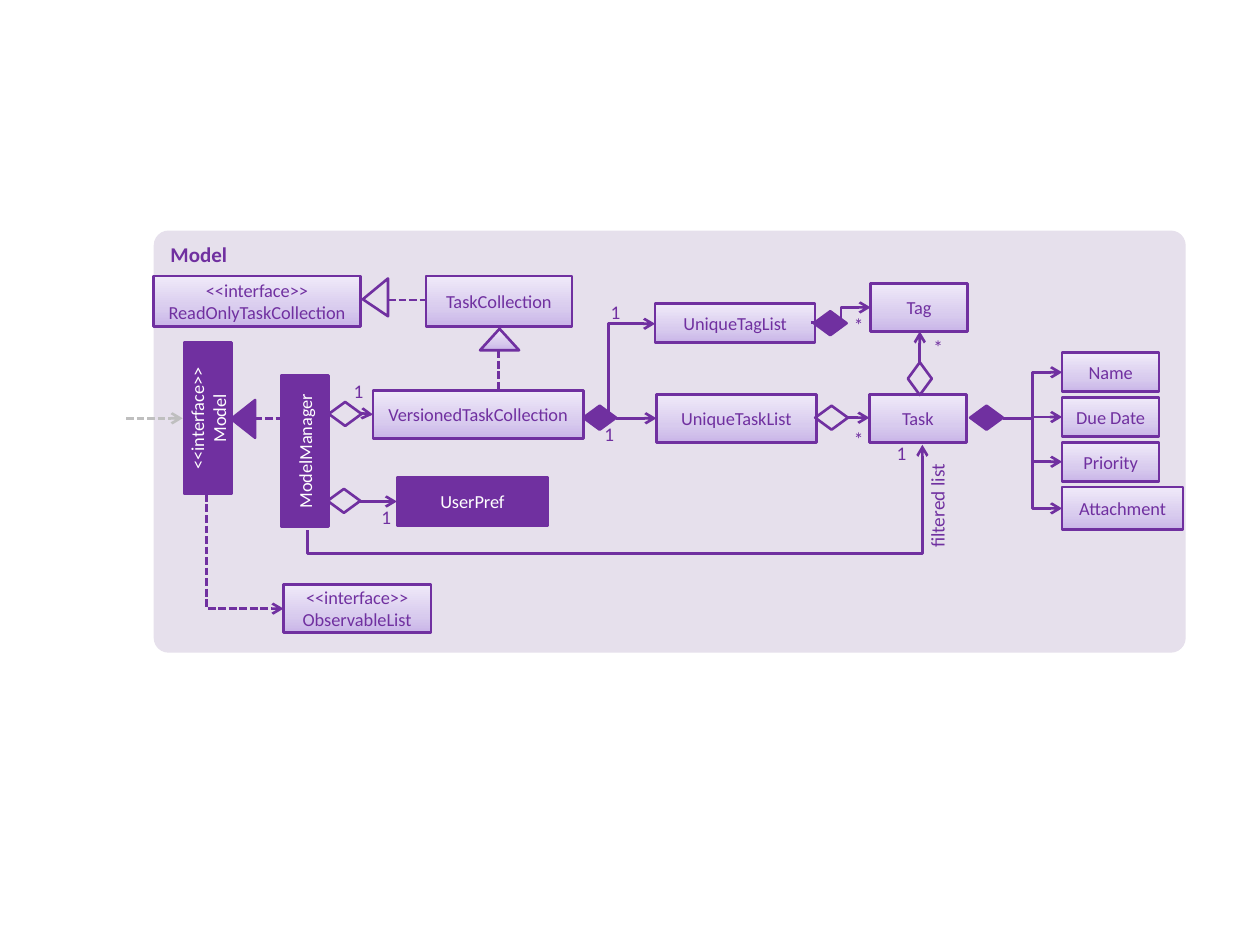
from copy import deepcopy
from dataclasses import dataclass
from typing import Any

from pptx import Presentation
from pptx.dml.color import RGBColor
from pptx.enum.dml import MSO_LINE
from pptx.enum.shapes import MSO_CONNECTOR, MSO_SHAPE
from pptx.enum.text import MSO_ANCHOR, PP_ALIGN
from pptx.oxml.ns import qn
from pptx.oxml.xmlchemy import OxmlElement
from pptx.util import Inches, Pt

RECT, ROUNDED = MSO_SHAPE.RECTANGLE, MSO_SHAPE.ROUNDED_RECTANGLE
DIAMOND, TRIANGLE = MSO_SHAPE.FLOWCHART_DECISION, MSO_SHAPE.ISOSCELES_TRIANGLE
STRAIGHT, ELBOW = MSO_CONNECTOR.STRAIGHT, MSO_CONNECTOR.ELBOW
DOTTED = MSO_LINE.SQUARE_DOT
MIDDLE, TOP = MSO_ANCHOR.MIDDLE, MSO_ANCHOR.TOP
LEFT, CENTER, RIGHT = PP_ALIGN.LEFT, PP_ALIGN.CENTER, PP_ALIGN.RIGHT
WIDTH, HEIGHT = Inches(10), Inches(7.5)
COLUMN, ROW = WIDTH / 100, HEIGHT / 75
PURPLE, PANEL, GREY, WHITE = "7030A0", "E6E0EC", "BFBFBF", "FFFFFF"
SHADES = ((0, "C9B5E8"), (0.35, "D8CBEE"), (1, "F0EAF9"))
DIAMOND_SIZE = (2.6, 1.9)


def color(value):
    """Turn a hex string into a colour."""
    return RGBColor.from_string(value)


def shade(shape):
    """Fill a shape with the pale purple gradient."""
    fill = shape.fill
    fill.gradient()
    fill.gradient_angle = 90
    stops = shape._element.spPr.find(".//" + qn("a:gsLst"))
    stops.insert(1, deepcopy(stops[0]))
    for stop, (position, value) in zip(fill.gradient_stops, SHADES):
        stop.position = position
        stop.color.rgb = color(value)


def write(frame, paragraphs, ink, size, align=CENTER, bold=False):
    """Write paragraphs run by run, with line breaks at newlines."""
    frame.word_wrap = True
    for index, text in enumerate(paragraphs):
        para = frame.add_paragraph() if index else frame.paragraphs[0]
        para.alignment = align
        for number, line in enumerate(text.split("\n")):
            if number:
                para.add_line_break()
            span = para.add_run()
            span.text = line
            span.font.name, span.font.size, span.font.bold = "Calibri", Pt(size), bold
            span.font.color.rgb = color(ink)


@dataclass
class Region:
    """A part of the page with its own origin in grid cells."""

    page: Any
    left: float
    top: float

    def spot(self, x, y):
        """Convert region cells to slide lengths."""
        return int((self.left + x) * COLUMN), int((self.top + y) * ROW)

    def shape(self, kind, x, y, width, height, fill=None, turn=0, line=PURPLE):
        """Place a preset shape; the fill is None, a colour or 'shade'."""
        shape = self.page.shapes.add_shape(
            kind, *self.spot(x, y), int(width * COLUMN), int(height * ROW))
        shape.shadow.inherit = False
        shape.rotation = turn
        if fill == "shade":
            shade(shape)
        elif fill:
            shape.fill.solid()
            shape.fill.fore_color.rgb = color(fill)
        else:
            shape.fill.background()
        if line:
            shape.line.color.rgb = color(line)
            shape.line.width = Pt(1.5)
        else:
            shape.line.fill.background()
        return shape

    def box(self, x, y, width, height, *paragraphs, fill="shade", turn=0):
        """Place a class box with centred text."""
        shape = self.shape(RECT, x, y, width, height, fill, turn)
        shape.text_frame.vertical_anchor = MIDDLE
        write(shape.text_frame, paragraphs, WHITE if fill == PURPLE else PURPLE, 10.5)

    def diamond(self, x, y, fill=None, turn=0):
        """Place an aggregation or composition diamond."""
        self.shape(DIAMOND, x, y, *DIAMOND_SIZE, fill, turn)

    def label(self, text, x, y, width=2.1, height=2, turn=0, align=CENTER, inset=0):
        """Place a small text such as a multiplicity."""
        box = self.page.shapes.add_textbox(
            *self.spot(x, y), int(width * COLUMN), int(height * ROW))
        box.rotation = turn
        frame = box.text_frame
        frame.margin_left = frame.margin_right = Inches(2 * inset)
        frame.margin_top = frame.margin_bottom = Inches(inset)
        write(frame, [text], PURPLE, 11, align)

    def link(self, start, end, kind=STRAIGHT, ink=PURPLE, dotted=False, arrow=True,
             upright=None, bend=None):
        """Draw a connector; upright names the preset of one that leaves vertically."""
        (x1, y1), (x2, y2) = start, end
        if upright:
            mid_x, mid_y, dx, dy = (x1 + x2) / 2, (y1 + y2) / 2, (x2 - x1) / 2, (y2 - y1) / 2
            start, end = (mid_x - dy, mid_y + dx), (mid_x + dy, mid_y - dx)
        connector = self.page.shapes.add_connector(kind, *self.spot(*start), *self.spot(*end))
        connector.line.color.rgb = color(ink)
        connector.line.width = Pt(1.5)
        if dotted:
            connector.line.dash_style = DOTTED
        properties = connector._element.spPr
        if arrow:
            tail = OxmlElement("a:tailEnd")
            tail.set("type", "arrow")
            properties.find(qn("a:ln")).append(tail)
        properties.append(OxmlElement("a:effectLst"))
        if upright:
            properties.find(qn("a:xfrm")).set("rot", "5400000")
            properties.find(qn("a:prstGeom")).set("prst", upright)
        if bend is not None:
            guide = OxmlElement("a:gd")
            guide.set("name", "adj1")
            guide.set("fmla", f"val {round(bend * 100000)}")
            properties.find(".//" + qn("a:avLst")).append(guide)


def draw_panel(region):
    """Draw the titled background of the component."""
    panel = region.shape(ROUNDED, 0, 0, 81.9, 33.5, PANEL, line=None)
    panel.adjustments[0] = 0.035
    panel.text_frame.vertical_anchor = TOP
    write(panel.text_frame, ["Model"], PURPLE, 12, LEFT, True)


def draw_manager(region):
    """Draw the model interface, its manager and what the manager holds."""
    region.box(21.5, 7.9, 12, 3.8, "UserPref", fill=PURPLE)
    region.box(8.2, 3.9, 12, 3.8, "ModelManager", fill=PURPLE, turn=270)
    region.link((14.4, 12.1), (63.2, 5.3), ELBOW, upright="bentConnector3", bend=-0.27)
    region.box(0.5, 1.3, 12, 3.8, "<<interface>>", "Model", fill=PURPLE, turn=270)
    region.shape(TRIANGLE, 7.8, 2.3, 3, 1.9, PURPLE, 270)
    region.link((0, 3.2), (4.5, 3.2), ink=GREY, dotted=True)
    region.link((10.2, 3.2), (12.6, 3.2), dotted=True, arrow=False)
    region.link((18.5, 9.8), (21.5, 9.8))
    region.diamond(16, 8.8)
    region.box(19.6, 1, 16.7, 3.8, "VersionedTaskCollection")
    region.link((18.7, 2.8), (19.6, 2.9))
    region.diamond(16.1, 1.9)
    region.box(12.5, 16.4, 11.7, 3.8, "<<interface>>\nObservableList")
    region.link((6.4, 9.2), (12.5, 18.3), ELBOW, dotted=True, upright="bentConnector2")
    region.label("1", 18, 0.1, 0.9)
    region.label("1", 19.6, 10.1)


def draw_lists(region):
    """Draw the tag and task lists with their elements."""
    region.box(6.1, 9.3, 12.7, 3.8, "UniqueTaskList")
    region.diamond(0.3, 10.2, PURPLE)
    region.link((2.9, 11.2), (6.1, 11.2))
    region.box(23, 9.3, 7.7, 3.8, "Task")
    region.diamond(18.7, 10.2)
    region.link((21.3, 11.15), (23, 11.15))
    region.box(6, 2.1, 12.7, 3.1, "UniqueTagList")
    region.link((2.3, 11.5), (6, 3.7), ELBOW, upright="bentConnector2")
    region.diamond(25.7, 7.1, turn=270)
    region.link((18.4, 3.6), (23.1, 2.4), ELBOW)
    region.box(23.1, 0.5, 7.7, 3.8, "Tag")
    region.diamond(18.6, 2.7, PURPLE)
    region.link((27, 6.8), (27, 4.3))
    for text, x, y in (("1", 1.3, 11.5), ("*", 21.1, 11.9), ("1", 24.5, 13),
                       ("*", 27.4, 4.6), ("*", 21.1, 2.9), ("1", 1.8, 1.8)):
        region.label(text, x, y)
    region.label("filtered list", 23.6, 17.2, 9.6, 2.9, 270, RIGHT, 0.05)


def draw_attributes(region):
    """Draw the parts that a task is composed of."""
    region.diamond(0, 4.2, PURPLE)
    sizes = {"Name": (7.7, 3.1), "Due Date": (7.7, 3.1), "Priority": (7.7, 3.1),
             "Attachment": (9.6, 3.4)}
    for index, (name, (width, height)) in enumerate(sizes.items()):
        top = 3.55 * index
        region.box(7.3, top, width, height, name)
        region.link((2.6, 5.2), (7.3, top + height / 2), ELBOW)


def draw_collections(region):
    """Draw the task collection and its read-only interface."""
    region.link((27.35, 5.9), (27.35, 9.1), dotted=True, arrow=False)
    region.shape(TRIANGLE, 25.9, 4.2, 3.1, 1.7, "shade")
    region.box(0, 0, 16.4, 4, "<<interface>>\nReadOnlyTaskCollection")
    region.box(21.6, 0, 11.6, 4, "TaskCollection")
    arrowhead = region.shape(TRIANGLE, 16.1, 0.7, 3, 2, PANEL, 270)
    arrowhead.adjustments[0] = 0.45
    region.link((18.6, 1.9), (21.6, 1.9), dotted=True, arrow=False)


def main():
    """Build the deck."""
    deck = Presentation()
    deck.slide_width, deck.slide_height = WIDTH, HEIGHT
    page = deck.slides.add_slide(deck.slide_layouts[6])
    draw_panel(Region(page, 12.2, 18.3))
    draw_manager(Region(page, 10, 30))
    draw_lists(Region(page, 46, 22))
    draw_attributes(Region(page, 77, 28))
    draw_collections(Region(page, 12.2, 21.9))
    deck.save("out.pptx")


if __name__ == "__main__":
    main()
